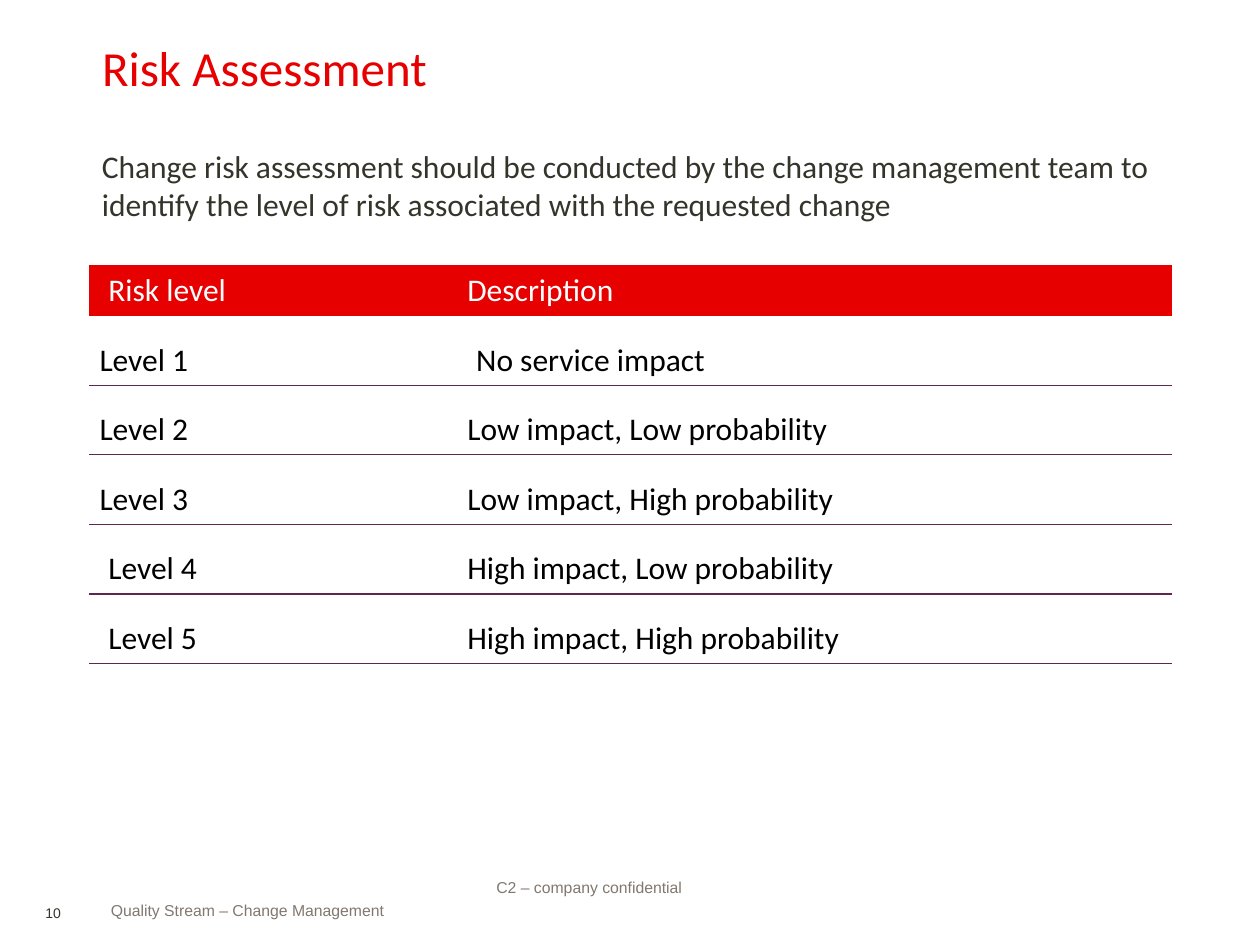
from lxml.etree import SubElement
from pptx import Presentation
from pptx.dml.color import RGBColor
from pptx.enum.text import MSO_ANCHOR as Anchor, MSO_AUTO_SIZE as AutoSize, PP_ALIGN as Align
from pptx.oxml.ns import qn
from pptx.util import Inches, Pt

GRID_COLUMNS, GRID_ROWS = 100, 75
CELL = Inches(10) // GRID_COLUMNS
RED, INK, GRAY, PLUM = "E60000", "34342B", "82786F", "5E2750"
WHITE, BLACK = "FFFFFF", "000000"
NO_STYLE = "{2D5ABB26-0587-4C30-8999-92F81FD0307C}"
LEFT, WIDTH = 7.1, 85.9
PLAIN, INDENTED = 0.8, 1.5
LEVELS = [
    ("Level 1", "No service impact", PLAIN, INDENTED),
    ("Level 2", "Low impact, Low probability", PLAIN, PLAIN),
    ("Level 3", "Low impact, High probability", PLAIN, PLAIN),
    ("Level 4", "High impact, Low probability", INDENTED, PLAIN),
    ("Level 5", "High impact, High probability", INDENTED, PLAIN),
]


def grid(units):
    return round(units * CELL)


def color(code):
    return RGBColor.from_string(code)


def write(frame, text, size=18, font="Calibri", ink=INK, align=Align.LEFT, spacing=1.0):
    para = frame.paragraphs[0]
    para.alignment = align
    para.line_spacing = spacing
    span = para.add_run()
    span.text = text
    span.font.size = Pt(size)
    span.font.name = font
    span.font.bold = False
    span.font.color.rgb = color(ink)


def set_margins(holder, left, top, right, bottom):
    holder.margin_left, holder.margin_top = grid(left), grid(top)
    holder.margin_right, holder.margin_bottom = grid(right), grid(bottom)


def add_title(page, text):
    title = page.shapes.title
    title.left, title.top = grid(LEFT), grid(3)
    title.width, title.height = grid(86), grid(10.3)
    frame = title.text_frame
    frame.auto_size = AutoSize.NONE
    frame.vertical_anchor = Anchor.TOP
    write(frame, text, size=28, ink=RED, spacing=0.9)


def add_text(page, place, text, margins=(0, 0.5, 1, 0.5), anchor=Anchor.TOP, wrap=True, **style):
    box = page.shapes.add_textbox(*map(grid, place))
    frame = box.text_frame
    frame.word_wrap = wrap
    frame.vertical_anchor = anchor
    set_margins(frame, *margins)
    write(frame, text, **style)


def underline(cell):
    properties = cell._tc.get_or_add_tcPr()
    line = SubElement(properties, qn("a:lnB"), w=str(Pt(0.75)))
    fill = SubElement(line, qn("a:solidFill"))
    SubElement(fill, qn("a:srgbClr"), val=PLUM)


def fill_cell(cell, text, margin, **style):
    cell.vertical_anchor = Anchor.MIDDLE
    set_margins(cell, margin, 0.5, 0.8, 0.5)
    write(cell.text_frame, text, **style)


def add_risk_table(page):
    header_height, level_height = 4.05, 5.52
    height = header_height + level_height * len(LEVELS)
    place = map(grid, (LEFT, 21, WIDTH, height))
    table = page.shapes.add_table(len(LEVELS) + 1, 2, *place).table
    table._tbl.tblPr.find(qn("a:tableStyleId")).text = NO_STYLE
    table.horz_banding = False
    for column, width in zip(table.columns, (29.2, 56.7)):
        column.width = grid(width)
    for index, row in enumerate(table.rows):
        row.height = grid(level_height if index else header_height)

    headings = zip(("Risk level", "Description"), (INDENTED, PLAIN))
    for cell, (text, margin) in zip(table.rows[0].cells, headings):
        fill_cell(cell, text, margin, ink=WHITE, spacing=Pt(22))
        cell.fill.solid()
        cell.fill.fore_color.rgb = color(RED)
    for index, (level, description, *margins) in enumerate(LEVELS, 1):
        for cell, text, margin in zip(table.rows[index].cells, (level, description), margins):
            fill_cell(cell, text, margin, ink=BLACK, spacing=1.5)
            underline(cell)
            cell.fill.background()


def add_footer(page):
    add_text(page, (3.6, 69.4, 2.2, 3.7), "10", margins=(0, 0, 0, 0),
             anchor=Anchor.BOTTOM, size=8, font="Arial")
    add_text(page, (35.7, 69.3, 23.1, 4.4), "C2 – company confidential",
             size=9, font="Arial", ink=GRAY, align=Align.CENTER, spacing=0.95)
    add_text(page, (8.8, 71, 22.7, 3), "Quality Stream – Change Management",
             wrap=False, size=9, font="Arial", ink=GRAY)


def main():
    deck = Presentation()
    deck.slide_width = grid(GRID_COLUMNS)
    deck.slide_height = grid(GRID_ROWS)
    page = deck.slides.add_slide(deck.slide_layouts[5])
    add_footer(page)
    add_title(page, "Risk Assessment")
    add_text(page, (LEFT, 11.2, WIDTH, 10),
             "Change risk assessment should be conducted by the change management team to "
             "identify the level of risk associated with the requested change",
             margins=(1, 0.5, 1, 0.5))
    add_risk_table(page)
    deck.save("out.pptx")


if __name__ == "__main__":
    main()
